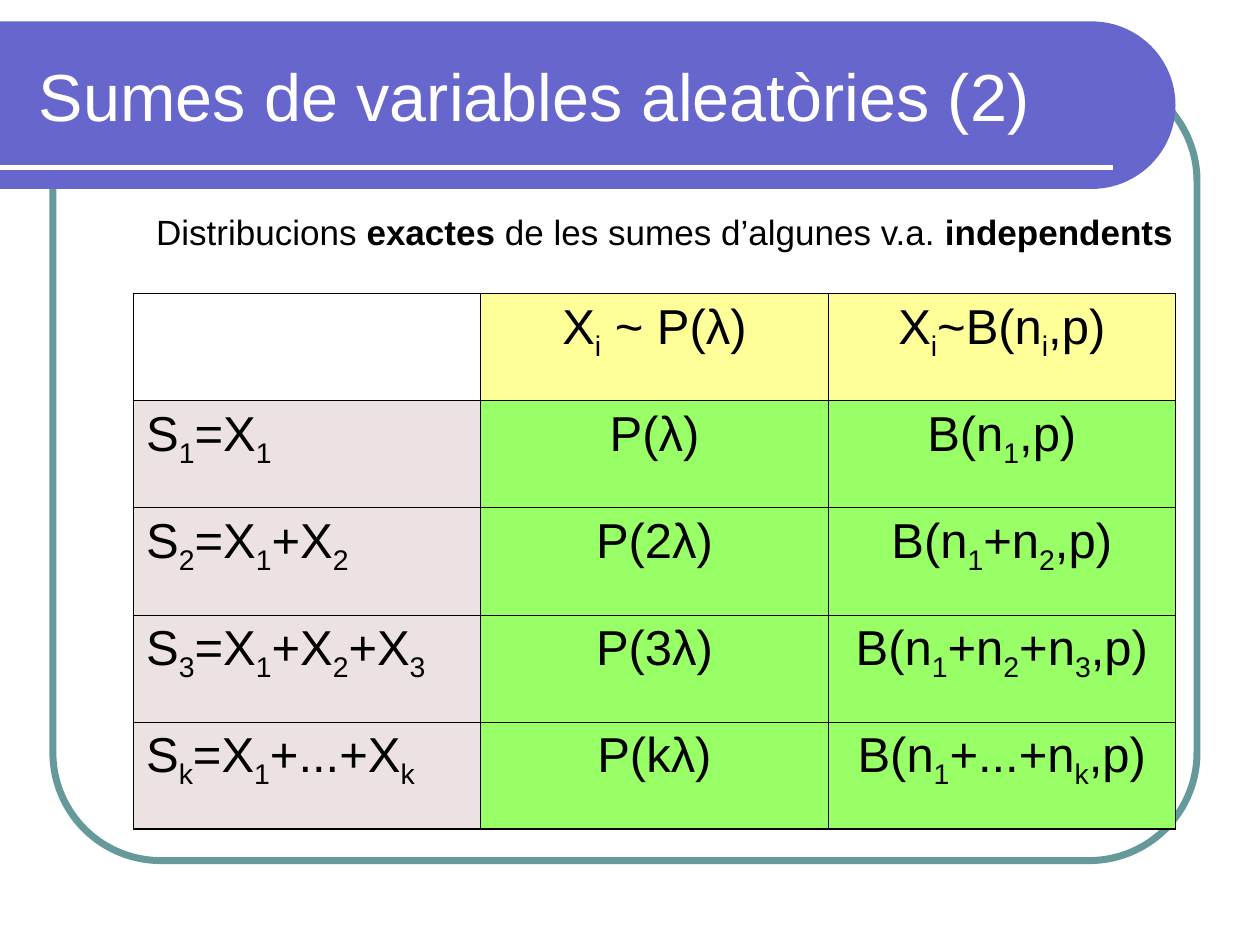
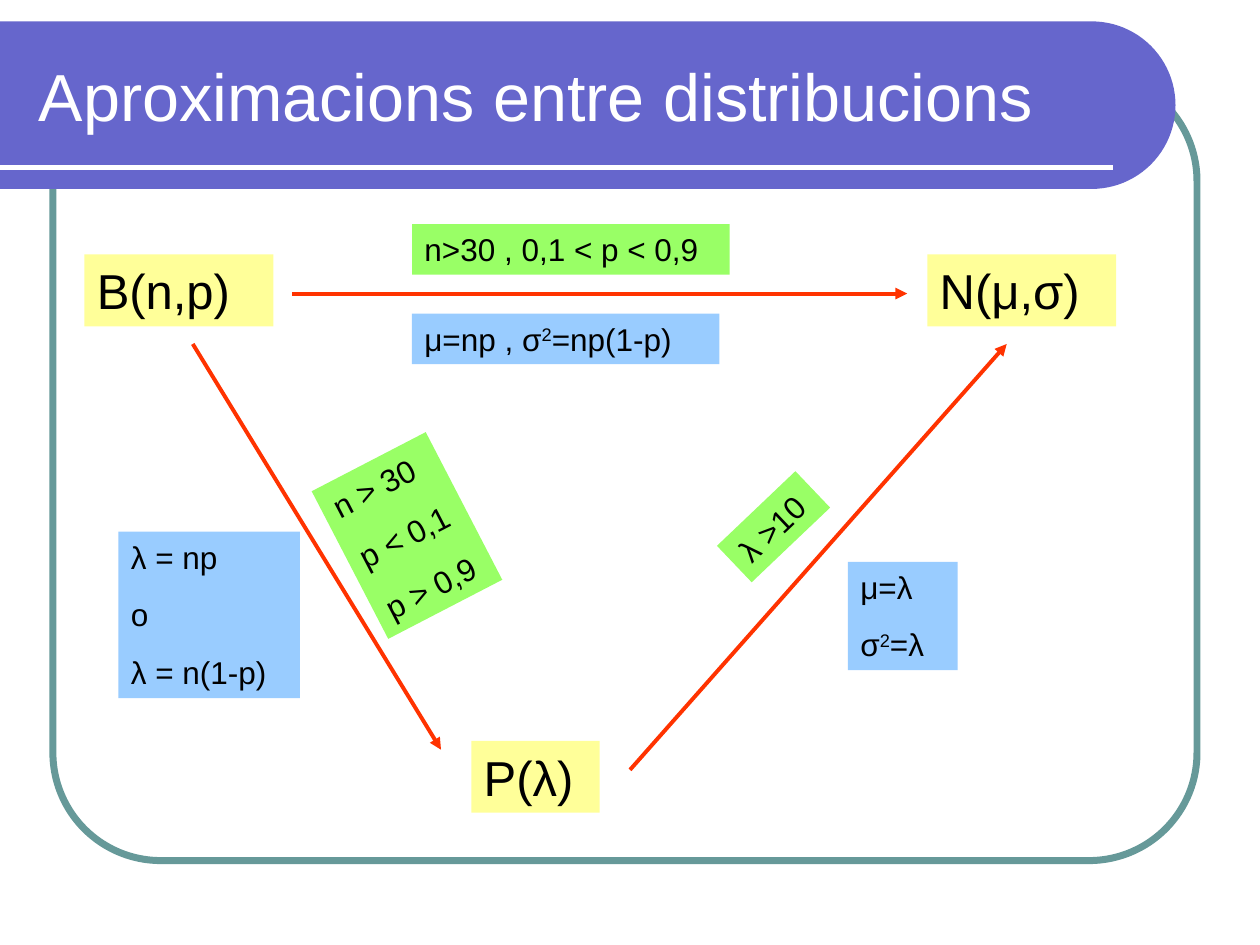
from collections import namedtuple
from math import cos, pi, sin

from lxml.etree import SubElement
from pptx import Presentation
from pptx.dml.color import RGBColor
from pptx.enum.shapes import MSO_CONNECTOR, MSO_SHAPE
from pptx.enum.text import MSO_ANCHOR, PP_ALIGN
from pptx.oxml.ns import qn
from pptx.util import Inches, Pt

COLORS = {
    "band": "6666CC", "frame": "669999", "white": "FFFFFF", "black": "000000",
    "yellow": "FFFF99", "green": "99FF66", "blue": "99CCFF", "grey": "ECE2E2",
    "arrow": "FF3300",
}
FONT = "Arial"
SUBSCRIPT, SUPERSCRIPT = "-25000", "30000"
OUTER_LINE, INNER_LINE = 1.08, 0.45

Box = namedtuple("Box", "left top width height")
FRAME = Box(0.42, 0.58, 9.08, 6.25)
BAND = Box(0, 0.17, 9.33, 1.33)
TITLE = Box(0.21, 0.25, 8.77, 1)
INTRO = Box(1.14, 1.62, 8.35, 0.44)
SUMS = Box(1.06, 2.33, 8.27, 4.25)
DIAGRAM = Box(0.67, 1.78, 8.2, 4.67)

# Text between bars is a subscript
SUM_ROWS = [
    ["", "X|i| ~ P(λ)", "X|i|~B(n|i|,p)"],
    ["S|1|=X|1|", "P(λ)", "B(n|1|,p)"],
    ["S|2|=X|1|+X|2|", "P(2λ)", "B(n|1|+n|2|,p)"],
    ["S|3|=X|1|+X|2|+X|3|", "P(3λ)", "B(n|1|+n|2|+n|3|,p)"],
    ["S|k|=X|1|+...+X|k|", "P(kλ)", "B(n|1|+...+n|k|,p)"],
]

# Diagram parts, placed from the corner of the diagram
DISTRIBUTIONS = [
    (Box(0, 0.24, 1.5, 0.57), "B(n,p)"),
    (Box(3.07, 4.1, 1.02, 0.57), "P(λ)"),
    (Box(6.69, 0.24, 1.5, 0.57), "N(μ,σ)"),
]
ARROWS = [
    ((1.65, 0.55), (6.53, 0.55)),
    ((0.86, 0.95), (2.83, 4.17)),
    ((4.33, 4.33), (7.32, 0.95)),
]
CONDITIONS = [
    (Box(2.6, 0, 2.52, 0.4), 0, ["n>30 , 0,1 < p < 0,9"]),
    (Box(2.05, 1.81, 1.02, 1.32), 332.6, ["n > 30", "p < 0,1", "p > 0,9"]),
    (Box(5.04, 2.2, 0.86, 0.4), 316.4, ["λ >10"]),
]
PARAMETERS = [
    (Box(0.27, 2.44, 1.44, 1.32), ["λ = np", "o", "λ = n(1-p)"]),
    (Box(2.6, 0.71, 2.44, 0.4), ["μ=np , σ|2|=np(1-p)"]),
    (Box(6.06, 2.68, 0.87, 0.86), ["μ=λ", "σ|2|=λ"]),
]


def rgb(name):
    return RGBColor.from_string(COLORS[name])


def inches(values):
    return [Inches(value) for value in values]


def set_line(line, color, width):
    line.color.rgb = rgb(color)
    line.width = Pt(width)


def set_fill(item, color):
    item.fill.solid()
    item.fill.fore_color.rgb = rgb(color)


def write(para, text, size, color="black", baseline=None, bold_marks=False,
          align=PP_ALIGN.LEFT):
    """Write text whose parts between bars are raised, lowered or bold."""
    para.alignment = align
    for index, part in enumerate(text.split("|")):
        if not part:
            continue
        marked = index % 2 == 1
        span = para.add_run()
        span.text = part
        font_format = {"name": FONT, "size": Pt(size),
                       "bold": marked and bold_marks}
        for key, value in font_format.items():
            setattr(span.font, key, value)
        span.font.color.rgb = rgb(color)
        if marked and baseline:
            span._r.get_or_add_rPr().set("baseline", baseline)


def add_text(page, box, text, size, anchor=MSO_ANCHOR.TOP, **text_format):
    frame = page.shapes.add_textbox(*inches(box)).text_frame
    frame.word_wrap = True
    frame.vertical_anchor = anchor
    write(frame.paragraphs[0], text, size, **text_format)


def add_line(page, start, end, color, width, arrow=False):
    line = page.shapes.add_connector(MSO_CONNECTOR.STRAIGHT, *inches(start + end))
    set_line(line.line, color, width)
    if arrow:
        SubElement(line.line._get_or_add_ln(), qn("a:tailEnd"), type="triangle")
    SubElement(line._element.spPr, qn("a:effectLst"))


def add_label(page, box, lines, color, size=18, rotation=0):
    label = page.shapes.add_shape(MSO_SHAPE.RECTANGLE, *inches(box))
    label.shadow.inherit = False
    label.rotation = rotation
    set_fill(label, color)
    label.line.fill.background()
    frame = label.text_frame
    frame.word_wrap = True
    frame.vertical_anchor = MSO_ANCHOR.TOP
    for index, text in enumerate(lines):
        para = frame.add_paragraph() if index else frame.paragraphs[0]
        if index:
            para.space_before = Pt(11.2)
        write(para, text, size, baseline=SUPERSCRIPT)


def add_frame(page, box):
    frame = page.shapes.add_shape(MSO_SHAPE.ROUNDED_RECTANGLE, *inches(box))
    frame.adjustments[0] = 0.137
    frame.shadow.inherit = False
    frame.fill.background()
    set_line(frame.line, "frame", 4)


def add_band(page, box):
    # Straight left edge and a half circle at the right end
    radius = box.height / 2
    center_x, center_y = box.left + box.width - radius, box.top + radius
    steps = 48
    angles = [pi * step / steps - pi / 2 for step in range(steps + 1)]
    points = [(center_x + radius * cos(angle), center_y + radius * sin(angle))
              for angle in angles]
    points.append((box.left, box.top + box.height))
    builder = page.shapes.build_freeform(Inches(box.left), Inches(box.top))
    builder.add_line_segments([inches(point) for point in points], close=True)
    band = builder.convert_to_shape()
    band.shadow.inherit = False
    set_fill(band, "band")
    band.line.fill.background()

    # Rule under the title
    rule_y = box.top + 1.16
    add_line(page, (box.left, rule_y), (box.left + box.width - 0.5, rule_y),
             "white", 3)


def add_page(deck, title):
    page = deck.slides.add_slide(deck.slide_layouts[6])
    add_frame(page, FRAME)
    add_band(page, BAND)
    add_text(page, TITLE, title, 38, MSO_ANCHOR.MIDDLE, color="white")
    return page


def set_borders(cell, widths):
    properties = cell._tc.get_or_add_tcPr()
    for side, width in widths.items():
        line = SubElement(properties, qn(f"a:ln{side}"), w=str(Pt(width)))
        fill = SubElement(line, qn("a:solidFill"))
        SubElement(fill, qn("a:srgbClr"), val=COLORS["black"])


def add_sums_table(page, box, rows):
    last_row, last_column = len(rows) - 1, len(rows[0]) - 1
    table = page.shapes.add_table(len(rows), len(rows[0]), *inches(box)).table
    table.first_row = table.horz_banding = False
    for row_index, row in enumerate(rows):
        for column_index, text in enumerate(row):
            cell = table.cell(row_index, column_index)
            at_edge = {"L": column_index == 0, "R": column_index == last_column,
                       "T": row_index == 0, "B": row_index == last_row}
            set_borders(cell, {side: OUTER_LINE if outer else INNER_LINE
                               for side, outer in at_edge.items()})
            if not text:
                cell.fill.background()
                continue
            heading = column_index == 0
            color = "yellow" if row_index == 0 else "grey" if heading else "green"
            set_fill(cell, color)
            write(cell.text_frame.paragraphs[0], text, 28, baseline=SUBSCRIPT,
                  align=PP_ALIGN.LEFT if heading else PP_ALIGN.CENTER)


def add_diagram(page, box):
    def place(part):
        return part._replace(left=box.left + part.left, top=box.top + part.top)

    def shift(point):
        return box.left + point[0], box.top + point[1]

    for part, name in DISTRIBUTIONS:
        add_label(page, place(part), [name], "yellow", size=28)
    for start, end in ARROWS:
        add_line(page, shift(start), shift(end), "arrow", 2.25, arrow=True)
    for part, rotation, lines in CONDITIONS:
        add_label(page, place(part), lines, "green", rotation=rotation)
    for part, lines in PARAMETERS:
        add_label(page, place(part), lines, "blue")


def main():
    deck = Presentation()
    deck.slide_width, deck.slide_height = Inches(10), Inches(7.5)

    # Sums of variables
    page = add_page(deck, "Sumes de variables aleatòries (2)")
    add_sums_table(page, SUMS, SUM_ROWS)
    add_text(page, INTRO, "Distribucions |exactes| de les sumes d’algunes v.a. "
             "|independents|", 20, bold_marks=True)

    # Approximations
    page = add_page(deck, "Aproximacions entre distribucions")
    add_diagram(page, DIAGRAM)

    deck.save("out.pptx")


if __name__ == "__main__":
    main()
